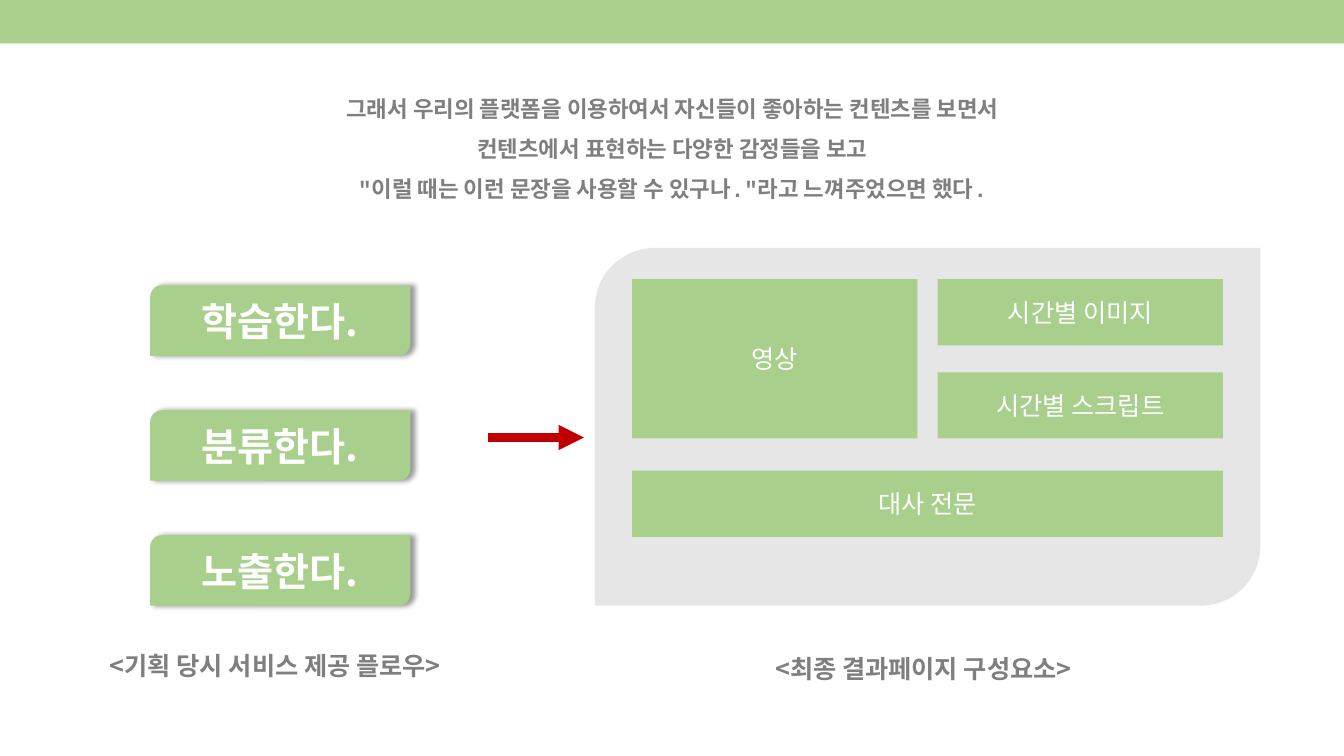
import dataclasses
import typing

import lxml.etree
import pptx
import pptx.dml.color
import pptx.enum.shapes
import pptx.enum.text
import pptx.oxml
import pptx.oxml.ns
import pptx.util

SHAPE = pptx.enum.shapes.MSO_SHAPE
ALIGN = pptx.enum.text.PP_ALIGN
ANCHOR = pptx.enum.text.MSO_ANCHOR
qn = pptx.oxml.ns.qn

SLIDE_WIDTH = pptx.util.Inches(13.33)
SLIDE_HEIGHT = pptx.util.Inches(7.5)
GREEN, GRAY, PANEL, RED, WHITE = "A8D08C", "7F7F7F", "E7E6E6", "C00000", "FFFFFF"
KOREAN = "Noto Sans CJK KR"

# Text formats
INTRO = {"size": pptx.util.Pt(16), "bold": True, "name": "Courier New"}
STEP = {"size": pptx.util.Pt(28), "bold": True, "name": KOREAN}
BLOCK = {"size": pptx.util.Pt(18), "bold": False, "name": KOREAN}
CAPTION = {"size": pptx.util.Pt(18), "bold": True, "name": KOREAN}


@dataclasses.dataclass
class Area:
    """A rectangle in percent of the slide's width and height."""
    left: float
    top: float
    width: float
    height: float

    def box(self) -> tuple[int, int, int, int]:
        return (across(self.left), down(self.top),
                across(self.width), down(self.height))


@dataclasses.dataclass
class Label:
    text: str
    area: Area


def across(percent: float) -> int:
    return round(SLIDE_WIDTH * percent / 100)


def down(percent: float) -> int:
    return round(SLIDE_HEIGHT * percent / 100)


def color(value: str) -> pptx.dml.color.RGBColor:
    return pptx.dml.color.RGBColor.from_string(value)


def write(frame: typing.Any, lines: list[str], font_format: dict, ink: str,
          align: typing.Any, spacing: float = 1.0) -> None:
    frame.word_wrap = True
    for index, line in enumerate(lines):
        paragraph = frame.paragraphs[0] if index == 0 else frame.add_paragraph()
        paragraph.alignment = align
        paragraph.line_spacing = spacing
        run = paragraph.add_run()
        run.text = line
        for attribute, value in font_format.items():
            setattr(run.font, attribute, value)
        run.font.color.rgb = color(ink)
        # Hangul takes the East Asian typeface
        lxml.etree.SubElement(run.font._element, qn("a:ea"), typeface=KOREAN)


def add_text(area: Area, lines: list[str], font_format: dict,
             align: typing.Any, spacing: float = 1.0) -> None:
    box = slide.shapes.add_textbox(*area.box())
    write(box.text_frame, lines, font_format, GRAY, align, spacing)


def add_panel(kind: typing.Any, area: Area, fill: str) -> typing.Any:
    panel = slide.shapes.add_shape(kind, *area.box())
    panel.shadow.inherit = False
    panel.fill.solid()
    panel.fill.fore_color.rgb = color(fill)
    panel.line.fill.background()
    return panel


def add_labelled(kind: typing.Any, label: Label, font_format: dict) -> typing.Any:
    panel = add_panel(kind, label.area, GREEN)
    panel.text_frame.vertical_anchor = ANCHOR.MIDDLE
    write(panel.text_frame, [label.text], font_format, WHITE, ALIGN.CENTER)
    return panel


def add_shadow(panel: typing.Any) -> None:
    effects = panel._element.spPr.find(qn("a:effectLst"))
    shadow = lxml.etree.SubElement(
        effects, qn("a:outerShdw"), blurRad=str(pptx.util.Pt(4)),
        dist=str(pptx.util.Pt(3)), dir="0", algn="l", rotWithShape="0")
    tint = lxml.etree.SubElement(shadow, qn("a:srgbClr"), val="000000")
    lxml.etree.SubElement(tint, qn("a:alpha"), val="40000")


def add_arrow(start: float, end: float, level: float) -> None:
    arrow = slide.shapes.add_connector(
        pptx.enum.shapes.MSO_CONNECTOR.STRAIGHT,
        across(start), down(level), across(end), down(level))
    arrow.line.color.rgb = color(RED)
    arrow.line.width = pptx.util.Pt(6)
    lxml.etree.SubElement(arrow.line._get_or_add_ln(), qn("a:tailEnd"), type="triangle")
    lxml.etree.SubElement(arrow._element.spPr, qn("a:effectLst"))


presentation = pptx.Presentation()
presentation.slide_width = SLIDE_WIDTH
presentation.slide_height = SLIDE_HEIGHT
slide = presentation.slides.add_slide(presentation.slide_layouts[6])

# Top band and introduction
add_panel(SHAPE.RECTANGLE, Area(0, 0, 100, 5.73), GREEN)
add_text(Area(6.23, 10.13, 87.62, 16.93), [
    "그래서 우리의 플랫폼을 이용하여서 자신들이 좋아하는 컨텐츠를 보면서",
    "컨텐츠에서 표현하는 다양한 감정들을 보고",
    "\"이럴 때는 이런 문장을 사용할 수 있구나.\"라고 느껴주었으면 했다.",
], INTRO, ALIGN.CENTER, 1.5)

# Planned service flow
STEP_TOP, STEP_PITCH = 37.73, 16.53
for row, step in enumerate(["학습한다.", "분류한다.", "노출한다."]):
    step_area = Area(11.18, STEP_TOP + row * STEP_PITCH, 19.35, 9.33)
    add_shadow(add_labelled(SHAPE.ROUND_2_DIAG_RECTANGLE, Label(step, step_area), STEP))

add_arrow(36.31, 43.44, 57.87)

# Result page and its blocks
add_panel(SHAPE.ROUND_2_DIAG_RECTANGLE, Area(44.26, 32.8, 49.51, 47.33), PANEL)
COLUMN, GUTTER, BAR = 21.23, 1.5, 8.75
FIRST = 47.04
SECOND = FIRST + COLUMN + GUTTER
TOP, MIDDLE, BOTTOM = 36.93, 49.25, 62.27
for block in [
    Label("영상", Area(FIRST, TOP, COLUMN, MIDDLE + BAR - TOP)),
    Label("시간별 이미지", Area(SECOND, TOP, COLUMN, BAR)),
    Label("시간별 스크립트", Area(SECOND, MIDDLE, COLUMN, BAR)),
    Label("대사 전문", Area(FIRST, BOTTOM, 2 * COLUMN + GUTTER, BAR)),
]:
    add_labelled(SHAPE.RECTANGLE, block, BLOCK)

# Captions
for caption in [
    Label("<기획 당시 서비스 제공 플로우>", Area(7.43, 85.33, 30.98, 5.33)),
    Label("<최종 결과페이지 구성요소>", Area(56.94, 85.73, 30.98, 5.33)),
]:
    add_text(caption.area, [caption.text], CAPTION, ALIGN.LEFT)

presentation.save("out.pptx")
